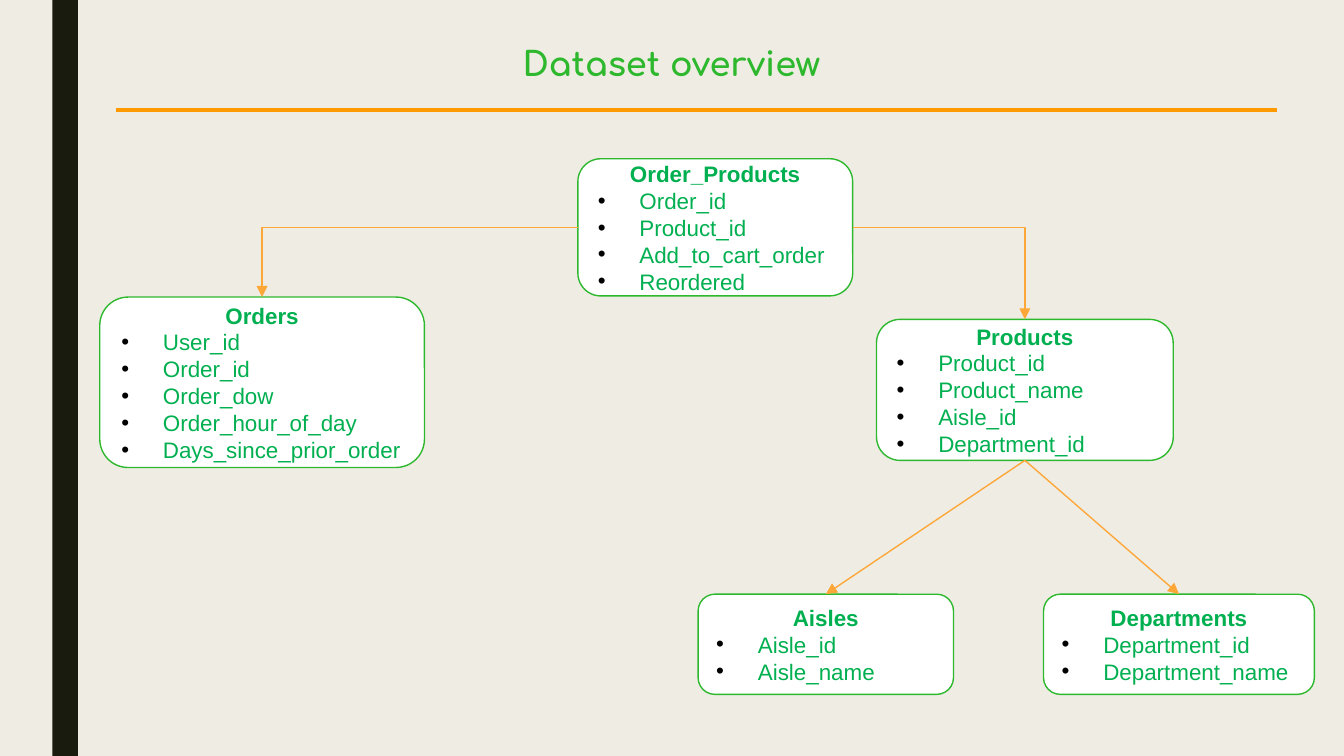
from dataclasses import dataclass

from lxml import etree
from pptx import Presentation
from pptx.dml.color import RGBColor
from pptx.enum.shapes import MSO_CONNECTOR, MSO_SHAPE
from pptx.enum.text import MSO_ANCHOR, PP_ALIGN
from pptx.oxml.ns import qn
from pptx.shapes.autoshape import Shape
from pptx.shapes.connector import Connector
from pptx.slide import Slide
from pptx.text.text import TextFrame, _Paragraph
from pptx.util import Inches, Pt

RECTANGLE = MSO_SHAPE.RECTANGLE
ROUNDED = MSO_SHAPE.ROUNDED_RECTANGLE
STRAIGHT = MSO_CONNECTOR.STRAIGHT
ELBOW = MSO_CONNECTOR.ELBOW
MIDDLE = MSO_ANCHOR.MIDDLE
CENTER = PP_ALIGN.CENTER
LEFT_ALIGN = PP_ALIGN.LEFT
TOP, LEFT, BOTTOM, RIGHT = range(4)

SLIDE_WIDTH = Inches(10)
SLIDE_HEIGHT = Inches(5.625)
INSET = Inches(0.1)
BULLET_INDENT = Inches(0.31)
COLORS = {
    "background": "EFEDE3",
    "stripe": "191B0E",
    "box": "FFFFFF",
    "green": "2DB82D",
    "text": "00B050",
    "bullet": "000000",
    "arrow": "FDA739",
    "rule": "FF9900",
}


@dataclass(frozen=True)
class Area:
    """A rectangle in percent of the slide's width and height."""
    left: float
    top: float
    width: float
    height: float


@dataclass(frozen=True)
class Entity:
    name: str
    area: Area
    fields: tuple[str, ...]


@dataclass(frozen=True)
class Relation:
    source: str
    source_side: int
    target: str
    kind: MSO_CONNECTOR


ENTITIES = (
    Entity("Order_Products", Area(43, 21, 20.45, 18.15),
           ("Order_id", "Product_id", "Add_to_cart_order", "Reordered")),
    Entity("Orders", Area(7.42, 39.3, 24.16, 22.55),
           ("User_id", "Order_id", "Order_dow", "Order_hour_of_day",
            "Days_since_prior_order")),
    Entity("Products", Area(65.22, 42.25, 22.08, 18.65),
           ("Product_id", "Product_name", "Aisle_id", "Department_id")),
    Entity("Departments", Area(77.65, 78.6, 20.15, 13.25),
           ("Department_id", "Department_name")),
    Entity("Aisles", Area(51.95, 78.6, 19, 13.25),
           ("Aisle_id", "Aisle_name")),
)
RELATIONS = (
    Relation("Order_Products", LEFT, "Orders", ELBOW),
    Relation("Order_Products", RIGHT, "Products", ELBOW),
    Relation("Products", BOTTOM, "Aisles", STRAIGHT),
    Relation("Products", BOTTOM, "Departments", STRAIGHT),
)


def color(name: str) -> RGBColor:
    return RGBColor.from_string(COLORS[name])


def across(percent: float) -> int:
    return round(SLIDE_WIDTH * percent / 100)


def down(percent: float) -> int:
    return round(SLIDE_HEIGHT * percent / 100)


def place(area: Area) -> tuple[int, int, int, int]:
    return across(area.left), down(area.top), across(area.width), down(area.height)


def add_box(page: Slide, kind: MSO_SHAPE, area: Area, fill: str) -> Shape:
    box = page.shapes.add_shape(kind, *place(area))
    box.shadow.inherit = False
    box.fill.solid()
    box.fill.fore_color.rgb = color(fill)
    box.line.fill.background()
    return box


def prepare_frame(frame: TextFrame) -> None:
    frame.word_wrap = True
    frame.vertical_anchor = MIDDLE
    frame.margin_left = frame.margin_right = INSET
    frame.margin_top = frame.margin_bottom = INSET


def write(para: _Paragraph, text: str, *, size: float = 12, font: str = "Arial",
          tint: str = "text", bold: bool = False,
          align: PP_ALIGN = LEFT_ALIGN) -> None:
    para.alignment = align
    span = para.add_run()
    span.text = text
    span.font.size = Pt(size)
    span.font.name = font
    span.font.bold = bold
    span.font.color.rgb = color(tint)


def add_bullet(para: _Paragraph) -> None:
    properties = para._p.get_or_add_pPr()
    properties.set("marL", str(BULLET_INDENT))
    properties.set("indent", str(-BULLET_INDENT))
    tint = etree.SubElement(properties, qn("a:buClr"))
    etree.SubElement(tint, qn("a:srgbClr"), val=COLORS["bullet"])
    etree.SubElement(properties, qn("a:buFont"), typeface="Arial")
    etree.SubElement(properties, qn("a:buChar"), char="•")


def add_entity(page: Slide, entity: Entity) -> Shape:
    box = add_box(page, ROUNDED, entity.area, "box")
    box.line.color.rgb = color("green")
    box.line.width = Pt(0.75)
    frame = box.text_frame
    prepare_frame(frame)
    write(frame.paragraphs[0], entity.name, bold=True, align=CENTER)
    for field in entity.fields:
        para = frame.add_paragraph()
        add_bullet(para)
        write(para, field)
    return box


def style_line(line: Connector, tint: str, width: float) -> None:
    line.line.color.rgb = color(tint)
    line.line.width = Pt(width)
    etree.SubElement(line._element.spPr, qn("a:effectLst"))


def side_middle(box: Shape, side: int) -> tuple[int, int]:
    x_share, y_share = {TOP: (0.5, 0), LEFT: (0, 0.5),
                        BOTTOM: (0.5, 1), RIGHT: (1, 0.5)}[side]
    return (round(box.left + box.width * x_share),
            round(box.top + box.height * y_share))


def add_relation(page: Slide, relation: Relation, boxes: dict[str, Shape]) -> None:
    source, target = boxes[relation.source], boxes[relation.target]
    arrow = page.shapes.add_connector(
        relation.kind, *side_middle(source, relation.source_side),
        *side_middle(target, TOP))
    arrow.begin_connect(source, relation.source_side)
    arrow.end_connect(target, TOP)
    if relation.kind == ELBOW:
        # A single bend: sideways first, then down.
        arrow._element.spPr.find(qn("a:prstGeom")).set("prst", "bentConnector2")
    style_line(arrow, "arrow", 0.75)
    etree.SubElement(arrow.line._get_or_add_ln(), qn("a:tailEnd"), type="triangle")


def add_title(page: Slide, text: str) -> None:
    rule = page.shapes.add_connector(
        STRAIGHT, across(8.6), down(14.55), across(95), down(14.55))
    style_line(rule, "rule", 2.25)
    box = page.shapes.add_textbox(*place(Area(15.5, 4.65, 68.9, 7.5)))
    prepare_frame(box.text_frame)
    write(box.text_frame.paragraphs[0], text, size=18, font="Comfortaa",
          tint="green", bold=True, align=CENTER)


def main() -> None:
    deck = Presentation()
    deck.slide_width, deck.slide_height = SLIDE_WIDTH, SLIDE_HEIGHT
    page = deck.slides.add_slide(deck.slide_layouts[6])
    page.background.fill.solid()
    page.background.fill.fore_color.rgb = color("background")
    add_box(page, RECTANGLE, Area(3.9, 0, 1.9, 100), "stripe")
    boxes = {entity.name: add_entity(page, entity) for entity in ENTITIES}
    for relation in RELATIONS:
        add_relation(page, relation, boxes)
    add_title(page, "Dataset overview")
    deck.save("out.pptx")


if __name__ == "__main__":
    main()
